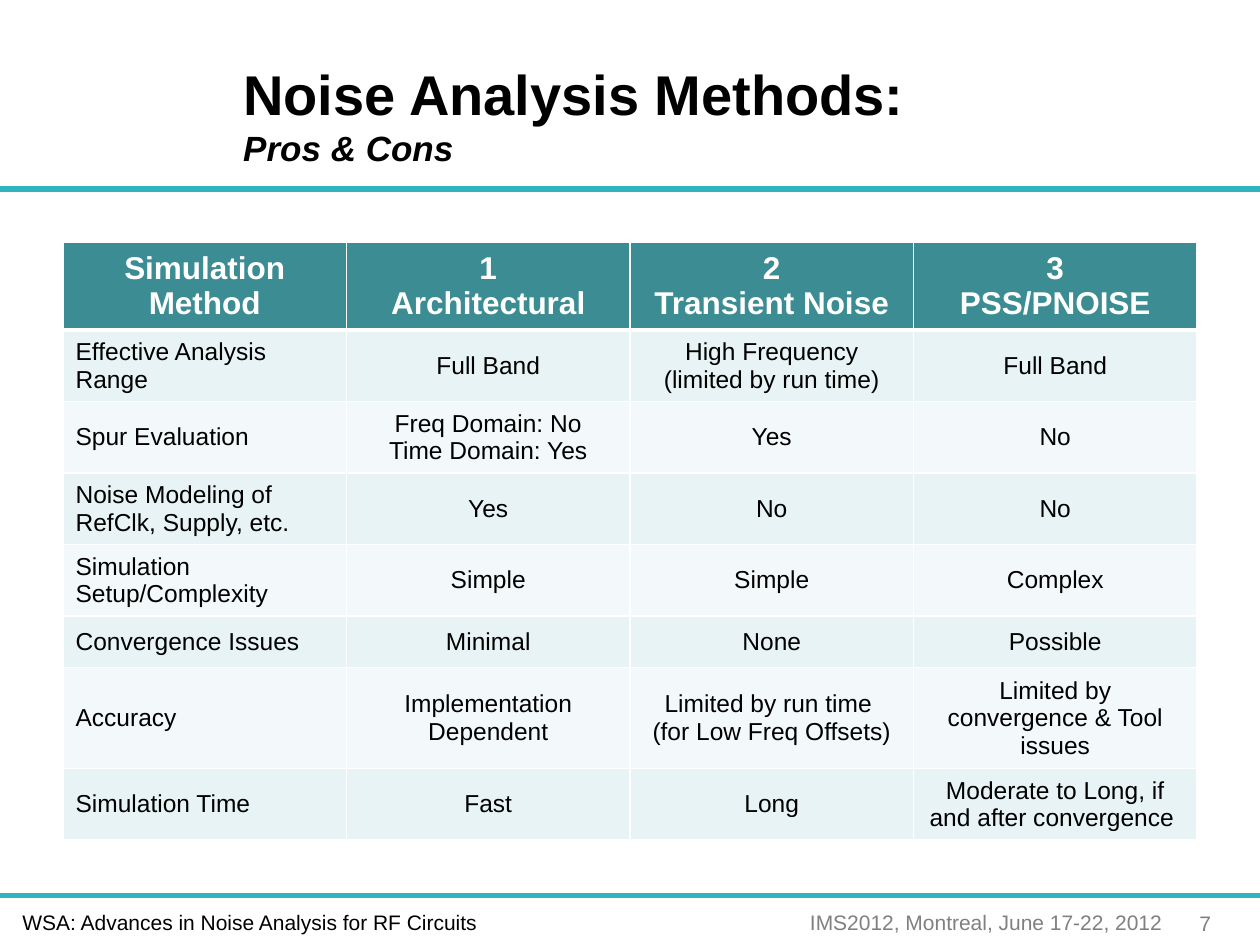
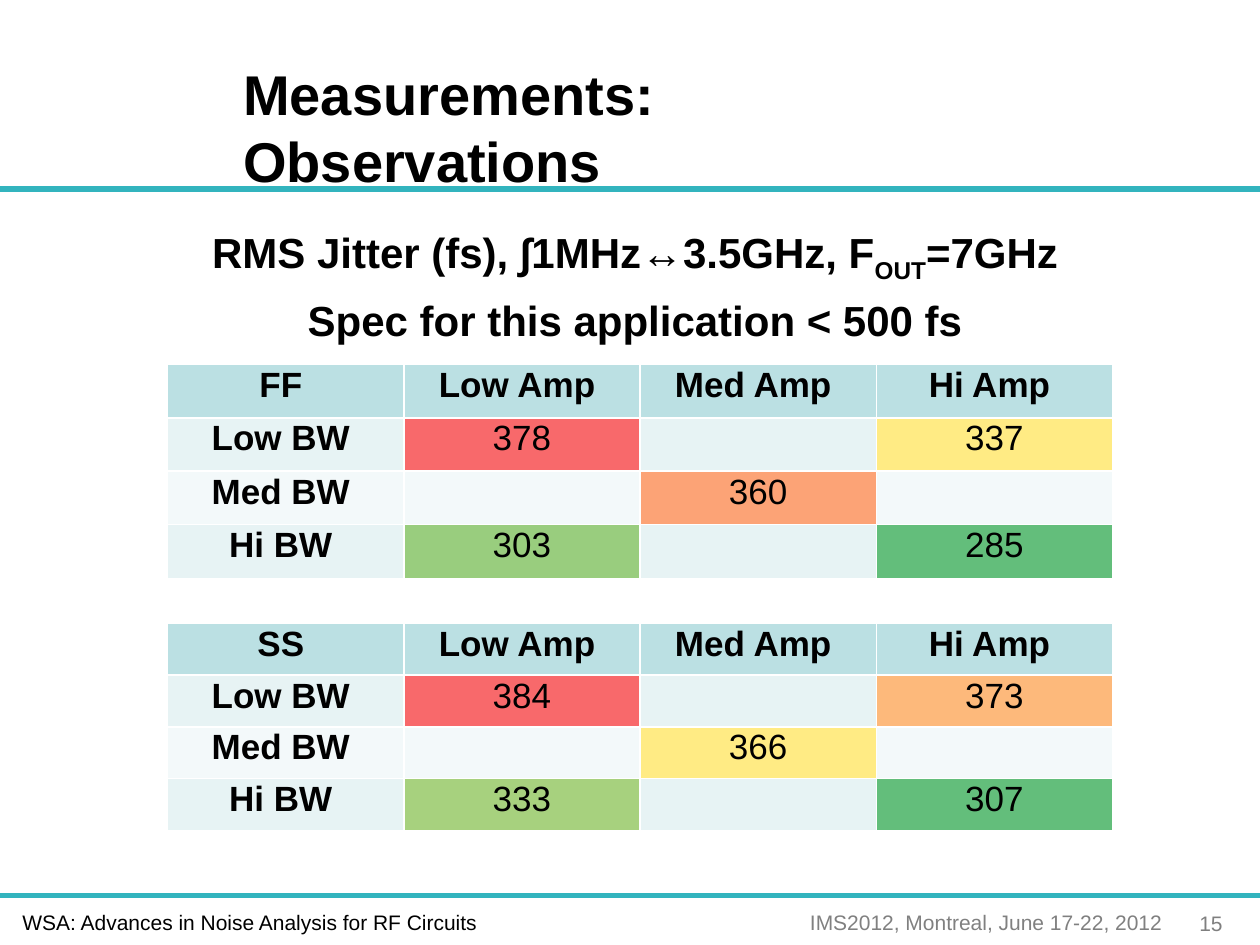
from lxml.etree import SubElement
from pptx import Presentation
from pptx.dml.color import RGBColor
from pptx.enum.shapes import MSO_CONNECTOR
from pptx.enum.text import MSO_ANCHOR, MSO_AUTO_SIZE, PP_ALIGN
from pptx.oxml.ns import qn
from pptx.util import Inches, Pt

FONT = "Arial"
COLOURS = {
    "text": "000000", "white": "FFFFFF", "rule": "32B4BE",
    "event": "808080", "number": "7F7F7F",
    "teal": "3C8C93", "aqua": "BBE0E3", "odd": "E7F3F4", "even": "F3F9FA",
    "red": "F8696B", "salmon": "FCA376", "orange": "FDB97B",
    "yellow": "FFEB84", "lime": "A7D17E", "light green": "99CD7E",
    "green": "63BE7B",
}
SESSION = "WSA: Advances in Noise Analysis for RF Circuits"
EVENT = "IMS2012, Montreal, June 17-22, 2012"

METHODS = [
    ["Simulation Method", "1\nArchitectural", "2\nTransient Noise", "3\nPSS/PNOISE"],
    ["Effective Analysis Range", "Full Band",
     "High Frequency\n(limited by run time)", "Full Band"],
    ["Spur Evaluation", "Freq Domain: No\nTime Domain: Yes", "Yes", "No"],
    ["Noise Modeling of RefClk, Supply, etc. ", "Yes", "No", "No"],
    ["Simulation Setup/Complexity", "Simple", "Simple", "Complex"],
    ["Convergence Issues", "Minimal", "None", "Possible"],
    ["Accuracy", "Implementation Dependent",
     "Limited by run time \n(for Low Freq Offsets)",
     "Limited by convergence & Tool issues"],
    ["Simulation Time", "Fast", "Long", "Moderate to Long, if and after convergence "],
]

LEVELS = ["Low", "Med", "Hi"]
# Each corner: top, row height, and (bandwidth, amplitude) -> (jitter, colour)
JITTER = {
    "FF": (2.89, 0.425, {
        ("Low", "Low"): (378, "red"), ("Low", "Hi"): (337, "yellow"),
        ("Med", "Med"): (360, "salmon"),
        ("Hi", "Low"): (303, "light green"), ("Hi", "Hi"): (285, "green")}),
    "SS": (4.95, 0.41, {
        ("Low", "Low"): (384, "red"), ("Low", "Hi"): (373, "orange"),
        ("Med", "Med"): (366, "yellow"),
        ("Hi", "Low"): (333, "lime"), ("Hi", "Hi"): (307, "green")}),
}


def rgb(name):
    """Return a palette colour."""
    return RGBColor.from_string(COLOURS[name])


def style(font, size, colour="text", bold=False, italic=None):
    """Format the font of a paragraph or run."""
    font.name, font.size, font.bold, font.italic = FONT, Pt(size), bold, italic
    font.color.rgb = rgb(colour)


def add_label(slide, text, left, top, width, height, colour="text", wrap=True):
    """Add one line of footer text."""
    label = slide.shapes.add_textbox(*map(Inches, (left, top, width, height)))
    frame = label.text_frame
    frame.text = text
    frame.word_wrap = wrap
    frame.auto_size = MSO_AUTO_SIZE.SHAPE_TO_FIT_TEXT
    style(frame.paragraphs[0].font, 12, colour)


def add_rule(slide, y):
    """Draw a rule across the slide."""
    rule = slide.shapes.add_connector(
        MSO_CONNECTOR.STRAIGHT, 0, Inches(y), Inches(10), Inches(y))
    rule.line.color.rgb = rgb("rule")
    rule.line.width = Pt(3)
    SubElement(rule._element.spPr, qn("a:effectLst"))


def new_slide(deck, number, heading, subtitle=None):
    """Add a slide with its rules, footer and title."""
    slide = deck.slides.add_slide(deck.slide_layouts[5])
    for y in (1.5, 7.11):
        add_rule(slide, y)
    add_label(slide, SESSION, 0.08, 7.17, 5.5, 0.3)
    add_label(slide, EVENT, 6.33, 7.17, 3.01, 0.3, "event", wrap=False)
    add_label(slide, str(number), 9.42, 7.18, 0.58, 0.3, "number")

    title = slide.shapes.title
    title.left, title.top, title.width, title.height = map(
        Inches, (1.83, 0.42, 6.42, 0.83))
    frame = title.text_frame
    frame.vertical_anchor = MSO_ANCHOR.TOP
    frame.auto_size = MSO_AUTO_SIZE.NONE
    frame.margin_right = Inches(0.2)
    line = frame.paragraphs[0]
    line.alignment = PP_ALIGN.LEFT
    line.space_before = Pt(6)
    style(line.font, 32, bold=True)
    line.add_run().text = heading
    if subtitle:
        line.add_line_break()
        detail = line.add_run()
        detail.text = subtitle
        style(detail.font, 20, bold=True, italic=True)
    return slide


def set_borders(cell, top=1, bottom=1):
    """Give a cell white borders; widths are in points."""
    props = cell._tc.get_or_add_tcPr()
    for index, (side, width) in enumerate(
            [("lnL", 1), ("lnR", 1), ("lnT", top), ("lnB", bottom)]):
        border = props.makeelement(qn(f"a:{side}"), {"w": str(Pt(width))})
        fill = SubElement(border, qn("a:solidFill"))
        SubElement(fill, qn("a:srgbClr"), val=COLOURS["white"])
        props.insert(index, border)


def add_grid(slide, rows, box, row_height, header_fill, header_line):
    """Add a banded table and return it, with its text still unstyled."""
    frame = slide.shapes.add_table(len(rows), len(rows[0]), *map(Inches, box))
    table = frame.table
    for r, row in enumerate(rows):
        table.rows[r].height = Inches(row_height)
        for c, text in enumerate(row):
            cell = table.cell(r, c)
            cell.text = text
            cell.fill.solid()
            cell.fill.fore_color.rgb = rgb(
                header_fill if r == 0 else "odd" if r % 2 else "even")
            set_borders(cell, top=header_line if r == 1 else 1,
                        bottom=header_line if r == 0 else 1)
    return table


def style_cell(cell, align, *font):
    """Align and format every paragraph of a cell."""
    for line in cell.text_frame.paragraphs:
        line.alignment = align
        style(line.font, *font)


def add_methods(slide):
    """Compare the simulation methods."""
    table = add_grid(slide, METHODS, (0.5, 1.92, 9, 4.51), 0.41, "teal", 3)
    for r in range(len(METHODS)):
        for c in range(len(METHODS[0])):
            cell = table.cell(r, c)
            cell.vertical_anchor = MSO_ANCHOR.MIDDLE
            font = (14,) if r else (18, "white", True)
            style_cell(cell, PP_ALIGN.LEFT if r and c == 0 else PP_ALIGN.CENTER, *font)


def add_jitter(slide, corner, top, row_height, readings):
    """Show jitter by bandwidth and amplitude for a process corner."""
    rows = [[f"{corner} "] + [f"{amp} Amp " for amp in LEVELS]]
    for bandwidth in LEVELS:
        values = [readings.get((bandwidth, amp), ("",))[0] for amp in LEVELS]
        rows.append([f"{bandwidth} BW "] + [str(value) for value in values])
    box = (1.33, top, 7.5, row_height * len(rows))
    table = add_grid(slide, rows, box, row_height, "aqua", 1.5)
    for r in range(len(rows)):
        for c in range(len(rows[0])):
            cell = table.cell(r, c)
            cell.margin_left = cell.margin_right = cell.margin_top = Inches(0.01)
            cell.margin_bottom = 0
            style_cell(cell, PP_ALIGN.CENTER, 20, "text", r == 0 or c == 0)
    for (bandwidth, amp), (_, colour) in readings.items():
        cell = table.cell(LEVELS.index(bandwidth) + 1, LEVELS.index(amp) + 1)
        cell.fill.fore_color.rgb = rgb(colour)


def add_conditions(slide):
    """State the measurement band and the limit."""
    box = slide.shapes.add_textbox(*map(Inches, (0.58, 1.75, 8.92, 0.91)))
    frame = box.text_frame
    frame.word_wrap = True
    frame.auto_size = MSO_AUTO_SIZE.SHAPE_TO_FIT_TEXT
    band, limit = frame.paragraphs[0], frame.add_paragraph()
    for text in ("RMS Jitter (fs), ∫1MHz↔3.5GHz, F", "OUT", "=7GHz"):
        run = band.add_run()
        run.text = text
        if text == "OUT":
            run._r.get_or_add_rPr().set("baseline", "-25000")
    limit.text = "Spec for this application < 500 fs"
    for line in (band, limit):
        line.alignment = PP_ALIGN.CENTER
        line.space_before = Pt(6)
        style(line.font, 24, bold=True)


deck = Presentation()
deck.slide_width, deck.slide_height = Inches(10), Inches(7.5)

add_methods(new_slide(deck, 7, "Noise Analysis Methods:", "Pros & Cons"))

observations = new_slide(deck, 15, "Measurements: Observations")
add_conditions(observations)
for corner, (top, row_height, readings) in JITTER.items():
    add_jitter(observations, corner, top, row_height, readings)

deck.save("out.pptx")
